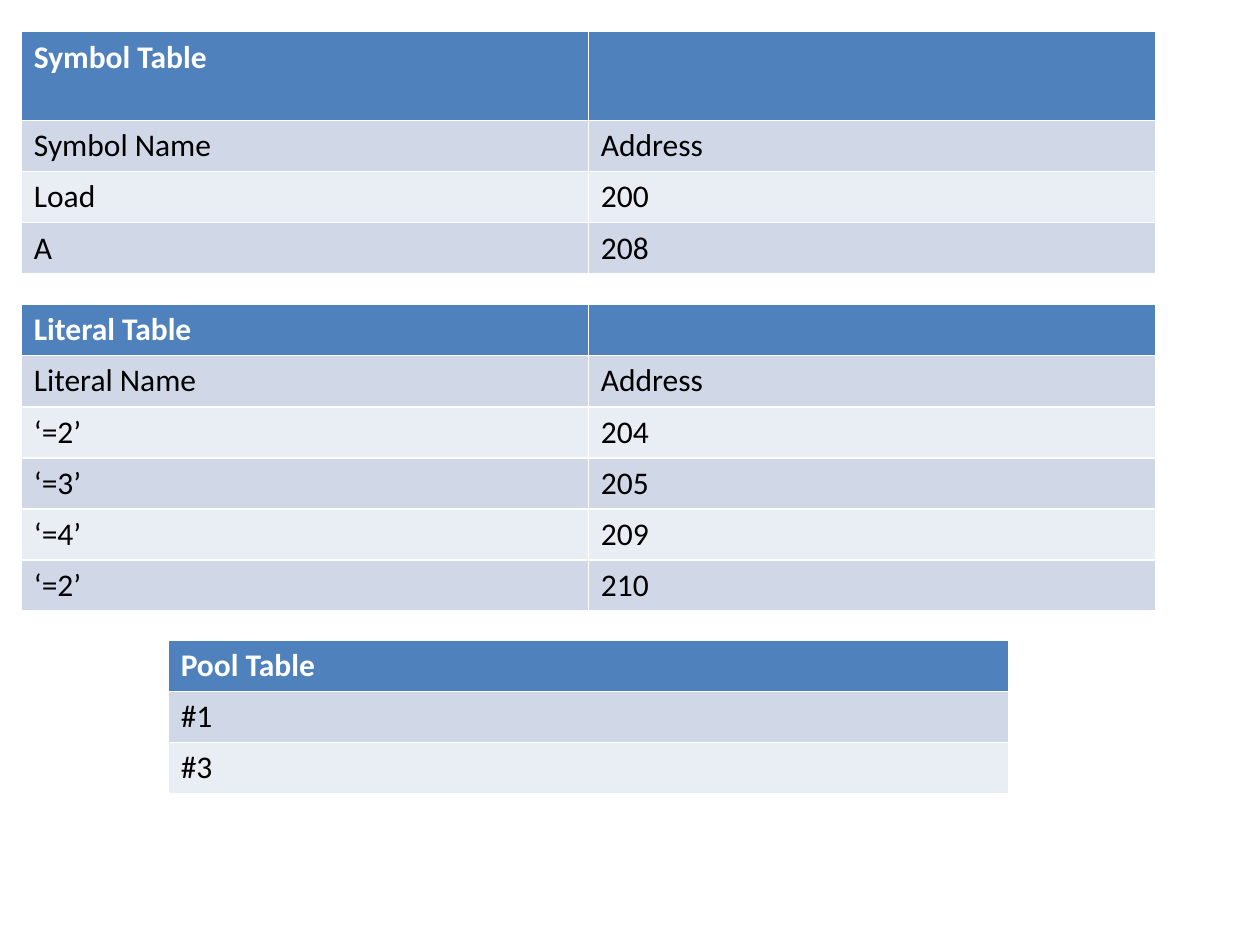
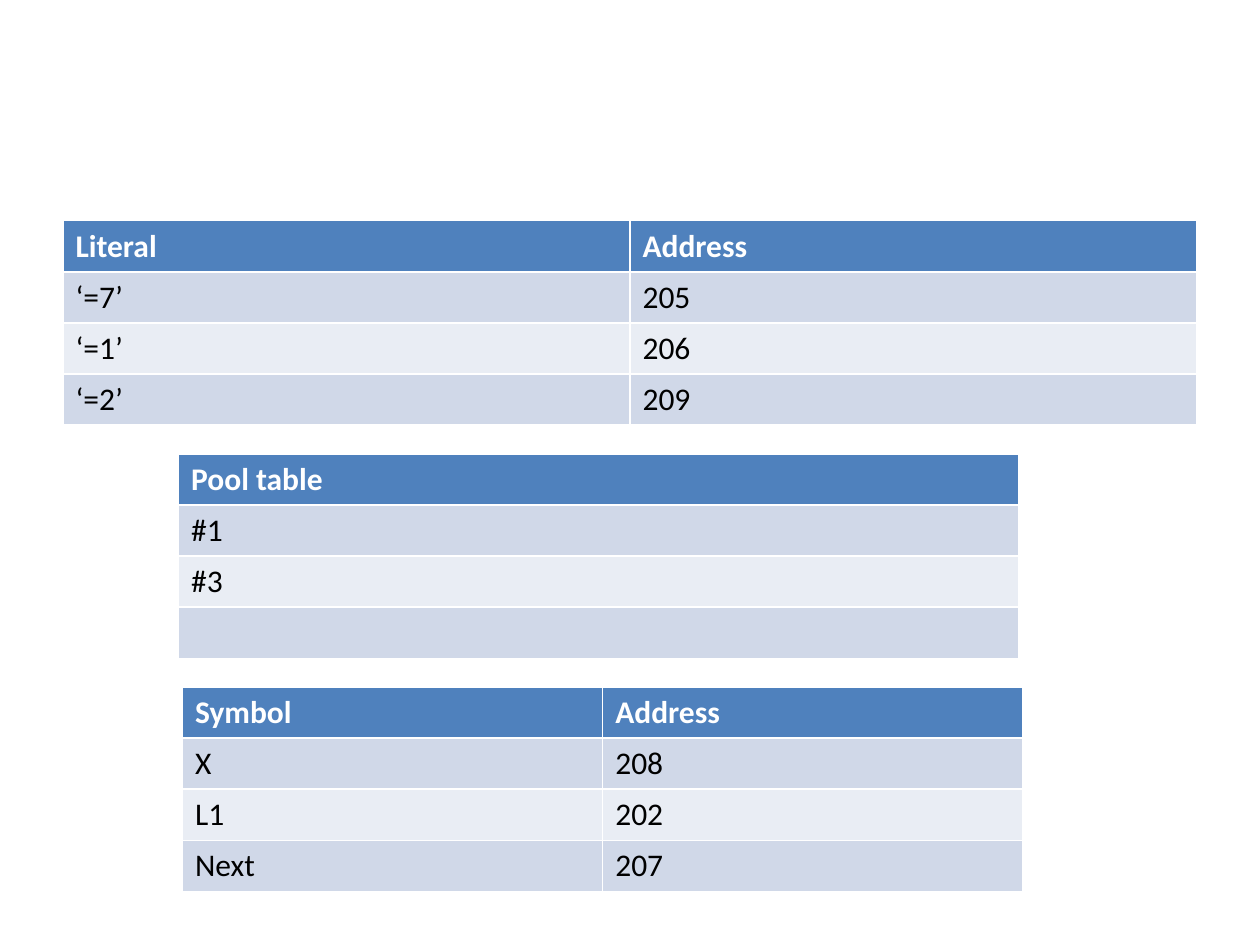
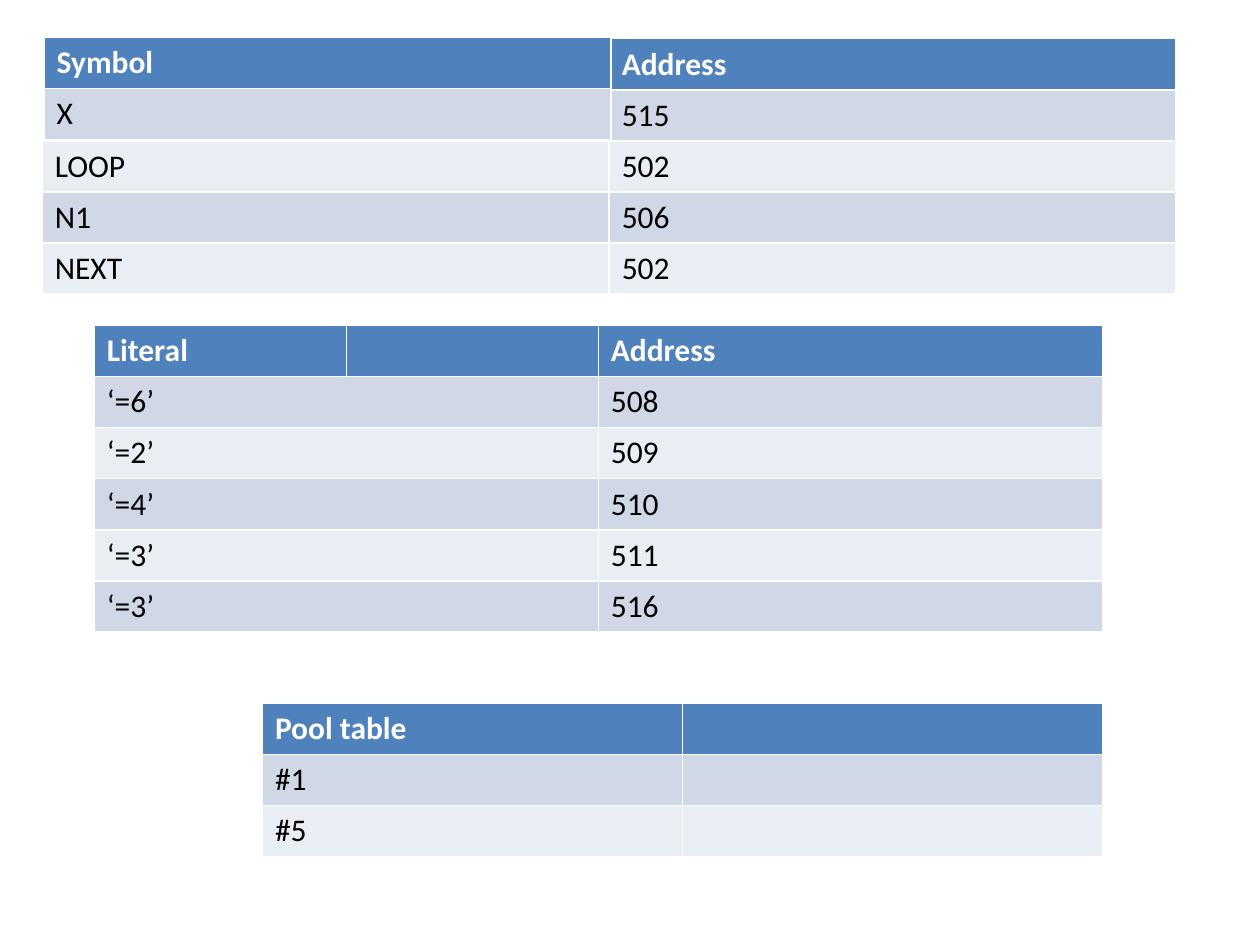
from pptx import Presentation
from pptx import util as u
from pptx.dml import color

FONT, SIZE = "Calibri", 18
HEAD, ODD, EVEN = "4F81BD", "D0D8E8", "E9EDF4"
WHITE, BLACK = "FFFFFF", "000000"
ROW = 1.03            # row height, cm
WIDE, HALF = 11.43, 8.47  # column widths, cm

# Content: each table has its corner, column widths and rows;
# None joins a cell to the one on its left
SLIDES = [
    [  # symbols, literals and pools of the first program
        dict(at=(0.43, 0.64), cols=[WIDE] * 2, top=1.79, rows=[
            ("Symbol Table", ""), ("Symbol Name", "Address"),
            ("Load", "200"), ("A", "208")]),
        dict(at=(0.43, 6.14), cols=[WIDE] * 2, rows=[
            ("Literal Table", ""), ("Literal Name", "Address"),
            ("‘=2’", "204"), ("‘=3’", "205"),
            ("‘=4’", "209"), ("‘=2’", "210")]),
        dict(at=(3.39, 12.91), cols=[HALF * 2], rows=[
            ("Pool Table",), ("#1",), ("#3",)]),
    ],
    [  # second program
        dict(at=(1.27, 4.45), cols=[WIDE] * 2, rows=[
            ("Literal", "Address"), ("‘=7’", "205"),
            ("‘=1’", "206"), ("‘=2’", "209")]),
        dict(at=(3.6, 9.15), cols=[HALF * 2], rows=[
            ("Pool table",), ("#1",), ("#3",), ("",)]),
        dict(at=(3.68, 13.85), cols=[HALF] * 2, rows=[
            ("Symbol", "Address"), ("X", "208"),
            ("L1", "202"), ("Next", "207")]),
    ],
    [  # third program; a small table fills the open symbol cells
        dict(at=(0.85, 0.78), cols=[WIDE] * 2, rows=[
            ("", "Address"), ("", "515"), ("LOOP", "502"),
            ("N1", "506"), ("NEXT", "502")]),
        dict(at=(0.89, 0.75), cols=[WIDE], rows=[("Symbol",), ("X",)]),
        dict(at=(1.9, 6.56), cols=[5.08, 5.08, 10.16], rows=[
            ("Literal", "", "Address"), ("‘=6’", None, "508"),
            ("‘=2’", None, "509"), ("‘=4’", None, "510"),
            ("‘=3’", None, "511"), ("‘=3’", None, "516")]),
        dict(at=(5.29, 14.18), cols=[HALF] * 2, rows=[
            ("Pool table", ""), ("#1", ""), ("#5", "")]),
    ],
]


def rgb(code):
    return color.RGBColor.from_string(code)


def write(cell, text, ink=BLACK, bold=False):
    para = cell.text_frame.paragraphs[0]
    if not text:
        para.font.size = u.Pt(SIZE)
        return
    run = para.add_run()
    run.text = text
    font = run.font
    font.name, font.size, font.bold = FONT, u.Pt(SIZE), bold
    font.color.rgb = rgb(ink)


def draw(slide, at, cols, rows, top=ROW):
    highs = [top] + [ROW] * (len(rows) - 1)
    size = at + (sum(cols), sum(highs))
    grid = slide.shapes.add_table(len(rows), len(cols),
                                  *map(u.Cm, size)).table
    for col, wide in zip(grid.columns, cols):
        col.width = u.Cm(wide)
    for i, (row, high) in enumerate(zip(rows, highs)):
        grid.rows[i].height = u.Cm(high)
        shade = HEAD if i == 0 else ODD if i % 2 else EVEN
        for j, text in enumerate(row):
            cell = grid.cell(i, j)
            cell.fill.solid()
            cell.fill.fore_color.rgb = rgb(shade)
            if text is None:
                grid.cell(i, j - 1).merge(cell)
            else:
                write(cell, text, ink=BLACK if i else WHITE, bold=i == 0)


# Build the deck; the table style supplies the white rules
deck = Presentation()
deck.slide_width, deck.slide_height = u.Cm(25.4), u.Cm(19.05)
for tables in SLIDES:
    slide = deck.slides.add_slide(deck.slide_layouts[6])
    for table in tables:
        draw(slide, **table)
deck.save("out.pptx")
